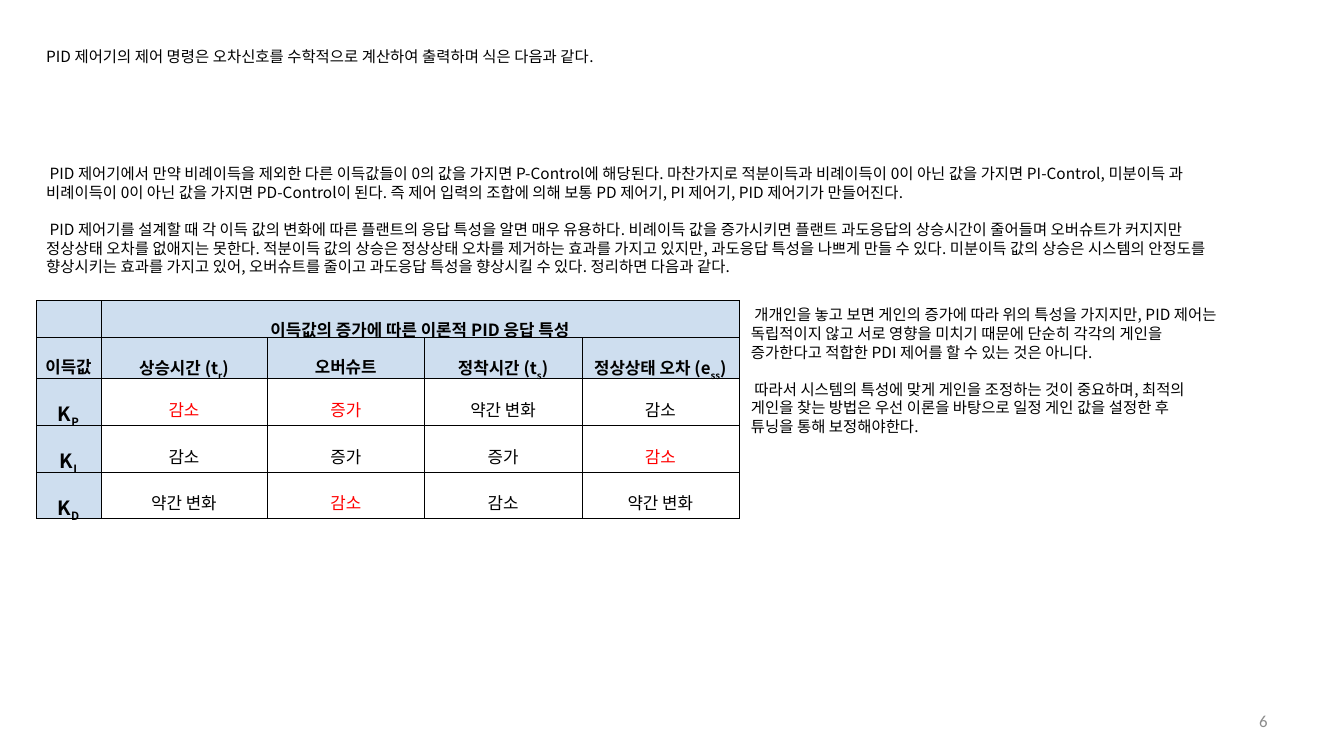
import pptx
import pptx.dml.color
import pptx.enum.text
import pptx.oxml
import pptx.oxml.ns
import pptx.util

Inches = pptx.util.Inches
Pt = pptx.util.Pt
RGBColor = pptx.dml.color.RGBColor
Align = pptx.enum.text.PP_ALIGN
Anchor = pptx.enum.text.MSO_ANCHOR

BLACK = RGBColor(0x00, 0x00, 0x00)
RED = RGBColor(0xFF, 0x00, 0x00)
GRAY = RGBColor(0x8C, 0x8C, 0x8C)
HEADER_BLUE = RGBColor(0xCE, 0xDE, 0xEF)
KOREAN_FONT = "Noto Sans CJK KR"
BODY_LINE = Pt(13.3)
LEFT = 0.36
TABLE_TOP = 2.98


def write_paragraph(paragraph, text, size=11, color=BLACK, bold=False, font=KOREAN_FONT,
                    align=Align.LEFT, line_spacing=BODY_LINE, space_before=0):
    """Fill a paragraph; text between a pair of | marks becomes a subscript."""
    paragraph.alignment = align
    paragraph.line_spacing = line_spacing
    paragraph.space_before = Pt(space_before)
    for index, piece in enumerate(text.split("|")):
        if not piece:
            continue
        run = paragraph.add_run()
        run.text = piece
        run.font.size = Pt(size)
        run.font.bold = bold
        run.font.color.rgb = color
        run.font.name = font
        properties = run._r.get_or_add_rPr()
        east_asian = pptx.oxml.parse_xml(
            f'<a:ea {pptx.oxml.ns.nsdecls("a")} typeface="{font}"/>')
        properties.append(east_asian)
        if index % 2:
            properties.set("baseline", "-25000")


def add_text(left, top, width, height, paragraphs, anchor=Anchor.TOP, **text_format):
    """Add a text box; paragraphs holds pairs of text and space before."""
    box = slide.shapes.add_textbox(Inches(left), Inches(top), Inches(width), Inches(height))
    frame = box.text_frame
    frame.word_wrap = True
    frame.vertical_anchor = anchor
    for index, (text, space_before) in enumerate(paragraphs):
        paragraph = frame.add_paragraph() if index else frame.paragraphs[0]
        write_paragraph(paragraph, text, space_before=space_before, **text_format)


presentation = pptx.Presentation()
presentation.slide_width = Inches(13.33)
presentation.slide_height = Inches(7.5)
slide = presentation.slides.add_slide(presentation.slide_layouts[6])

add_text(9.56, 6.95, 3.11, 0.4, [("6", 0)], anchor=Anchor.MIDDLE, size=12, color=GRAY,
         font="Calibri", align=Align.RIGHT, line_spacing=1.0)

add_text(LEFT, 0.31, 10.03, 0.95,
         [("PID 제어기의 제어 명령은 오차신호를 수학적으로 계산하여 출력하며 식은 다음과 같다.", 0)],
         align=Align.JUSTIFY, line_spacing=Pt(21.3))

add_text(LEFT, 1.58, 12, 1.51, [
    (" PID 제어기에서 만약 비례이득을 제외한 다른 이득값들이 0의 값을 가지면 P-Control에 해당된다. "
     "마찬가지로 적분이득과 비례이득이 0이 아닌 값을 가지면 PI-Control, 미분이득 과 비례이득이 0이 아닌 "
     "값을 가지면 PD-Control이 된다. 즉 제어 입력의 조합에 의해 보통 PD 제어기, PI 제어기, PID 제어기가 "
     "만들어진다.", 0),
    (" PID 제어기를 설계할 때 각 이득 값의 변화에 따른 플랜트의 응답 특성을 알면 매우 유용하다. "
     "비례이득 값을 증가시키면 플랜트 과도응답의 상승시간이 줄어들며 오버슈트가 커지지만 정상상태 오차를 "
     "없애지는 못한다. 적분이득 값의 상승은 정상상태 오차를 제거하는 효과를 가지고 있지만, 과도응답 특성을 "
     "나쁘게 만들 수 있다. 미분이득 값의 상승은 시스템의 안정도를 향상시키는 효과를 가지고 있어, "
     "오버슈트를 줄이고 과도응답 특성을 향상시킬 수 있다. 정리하면 다음과 같다.", 13.3),
])

# Gain table: a leading * marks a red value
gain_rows = [
    ["", "이득값의 증가에 따른 이론적 PID 응답 특성", "", "", ""],
    ["이득값", "상승시간 (t|r|)", "오버슈트", "정착시간 (t|s|)", "정상상태 오차 (e|ss|)"],
    ["K|P|", "*감소", "*증가", "약간 변화", "감소"],
    ["K|I|", "감소", "증가", "증가", "*감소"],
    ["K|D|", "약간 변화", "*감소", "감소", "약간 변화"],
]
column_widths = [0.64, 1.65, 1.56, 1.56, 1.56]
row_heights = [0.37, 0.4, 0.46, 0.46, 0.46]
table = slide.shapes.add_table(
    len(row_heights), len(column_widths), Inches(LEFT), Inches(TABLE_TOP),
    Inches(sum(column_widths)), Inches(sum(row_heights))).table
table.first_row = table.horz_banding = False
for column, width in zip(table.columns, column_widths):
    column.width = Inches(width)
for row, height in zip(table.rows, row_heights):
    row.height = Inches(height)
table.cell(0, 1).merge(table.cell(0, 4))

for row_index, texts in enumerate(gain_rows):
    for column_index, text in enumerate(texts):
        cell = table.cell(row_index, column_index)
        is_header = row_index < 2 or column_index == 0
        is_gain = row_index >= 2 and column_index == 0
        cell.vertical_anchor = Anchor.MIDDLE
        cell.margin_left = cell.margin_right = Inches(0.07)
        cell.margin_top = cell.margin_bottom = Inches(0.02)
        cell_properties = cell._tc.get_or_add_tcPr()
        for side in ("lnL", "lnR", "lnT", "lnB"):
            cell_properties.append(pptx.oxml.parse_xml(
                f'<a:{side} {pptx.oxml.ns.nsdecls("a")} w="3556"><a:solidFill>'
                f'<a:srgbClr val="{BLACK}"/></a:solidFill></a:{side}>'))
        if is_header:
            cell.fill.solid()
            cell.fill.fore_color.rgb = HEADER_BLUE
        else:
            cell.fill.background()
        write_paragraph(cell.text_frame.paragraphs[0], text.lstrip("*"),
                        size=14 if is_gain else 12, bold=is_header,
                        color=RED if text.startswith("*") else BLACK,
                        align=Align.CENTER, line_spacing=1.6)

add_text(LEFT + sum(column_widths) + 0.02, TABLE_TOP, 4.88, 1.73, [
    (" 개개인을 놓고 보면 게인의 증가에 따라 위의 특성을 가지지만, PID 제어는 독립적이지 않고 서로 영향을 "
     "미치기 때문에 단순히 각각의 게인을 증가한다고 적합한 PDI 제어를 할 수 있는 것은 아니다.", 0),
    (" 따라서 시스템의 특성에 맞게 게인을 조정하는 것이 중요하며, 최적의 게인을 찾는 방법은 우선 이론을 "
     "바탕으로 일정 게인 값을 설정한 후", 13.3),
    ("튜닝을 통해 보정해야한다.", 0),
])

presentation.save("out.pptx")
